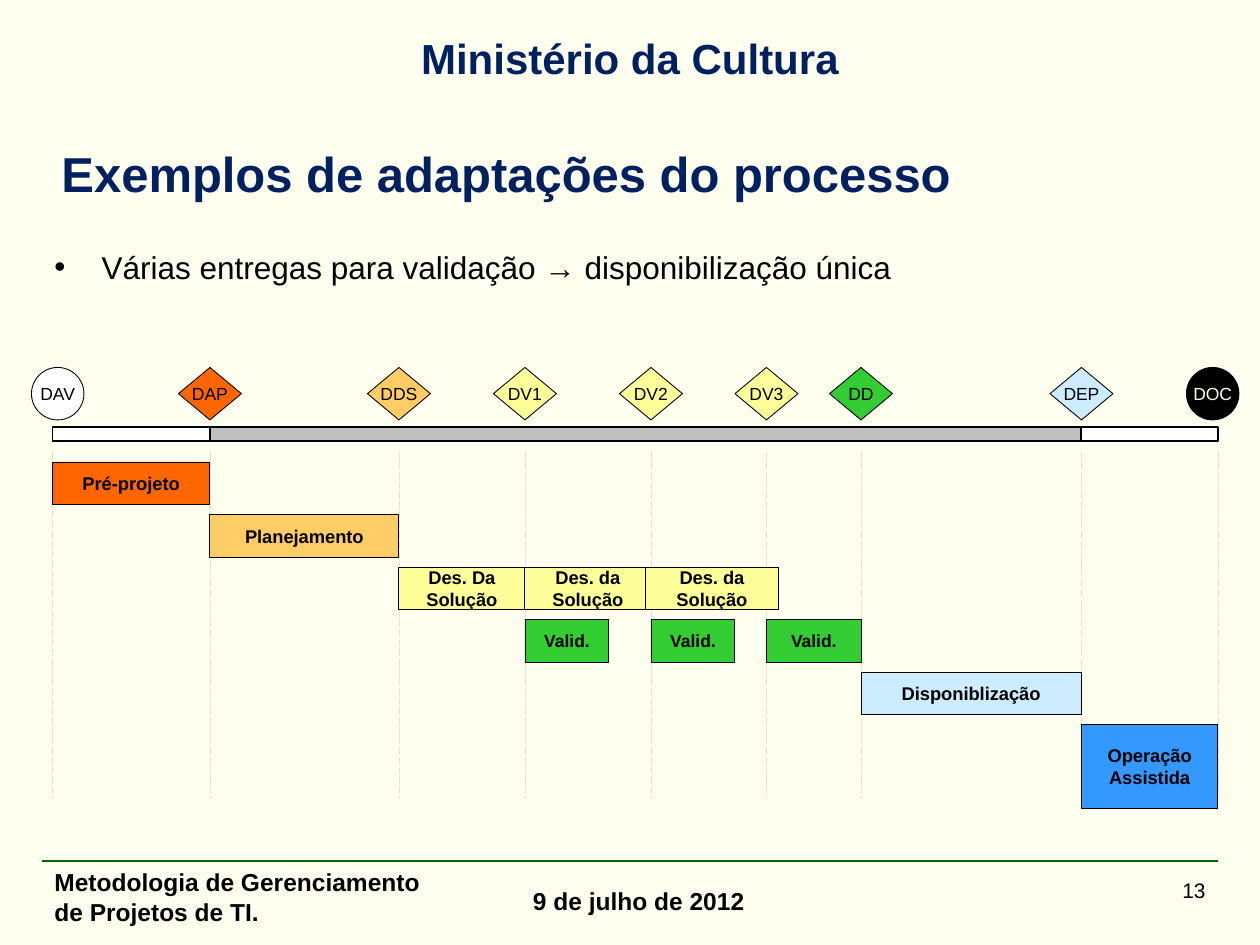
"""Build the slide on adapting the process, with its phase timeline."""
from lxml import etree
from pptx import Presentation
from pptx.dml.color import RGBColor
from pptx.enum.dml import MSO_LINE
from pptx.enum.shapes import MSO_CONNECTOR, MSO_SHAPE
from pptx.enum.text import MSO_ANCHOR, PP_ALIGN
from pptx.oxml.ns import qn
from pptx.util import Pt

RECT, GEM, DISC = MSO_SHAPE.RECTANGLE, MSO_SHAPE.DIAMOND, MSO_SHAPE.OVAL
LEFT, MID, RIGHT = PP_ALIGN.LEFT, PP_ALIGN.CENTER, PP_ALIGN.RIGHT
TOP, CENTER = MSO_ANCHOR.TOP, MSO_ANCHOR.MIDDLE
DASH, STRAIGHT = MSO_LINE.LONG_DASH, MSO_CONNECTOR.STRAIGHT

CREAM = RGBColor(0xFF, 0xFF, 0xEF)
NAVY = RGBColor(0x00, 0x20, 0x60)
BLACK = RGBColor(0x00, 0x00, 0x00)
WHITE = RGBColor(0xFF, 0xFF, 0xFF)
GRAY = RGBColor(0xC0, 0xC0, 0xC0)
SAND = RGBColor(0xE8, 0xDF, 0xD0)
PINE = RGBColor(0x00, 0x66, 0x00)
ORANGE = RGBColor(0xFF, 0x66, 0x00)
AMBER = RGBColor(0xFF, 0xCC, 0x66)
YELLOW = RGBColor(0xFF, 0xFF, 0x99)
GREEN = RGBColor(0x33, 0xCC, 0x33)
ICE = RGBColor(0xCC, 0xEC, 0xFF)
BLUE = RGBColor(0x33, 0x99, 0xFF)

FONT = "Arial"
# text, left, top, width, height, size, bold, colour, align, anchor, space before
TEXTS = [
    ("9 de julho de 2012", 297.5, 502.5, 158.5, 28, 14, True, BLACK, LEFT, TOP, 2.8),
    ("Ministério da Cultura", 33.5, 15, 653, 36, 24, True, NAVY, MID, TOP, 0),
    ("13", 546, 498, 150, 36, 12, False, BLACK, RIGHT, TOP, 0),
    ("Metodologia de Gerenciamento de Projetos de TI.",
     24, 492, 238, 36, 14, True, BLACK, LEFT, TOP, 0),
    ("Exemplos de adaptações do processo",
     28, 81, 672, 36, 28, True, NAVY, LEFT, CENTER, 0),
]
BODY = ("Várias entregas para validação → disponibilização única",
        24, 138, 672, 342, 18, False, BLACK, LEFT, TOP, 3.6)
STONES = [
    ("DAV", 30, WHITE), ("DAP", 120, ORANGE), ("DDS", 228, AMBER),
    ("DV1", 300, YELLOW), ("DV2", 372, YELLOW), ("DV3", 438, YELLOW),
    ("DD", 492, GREEN), ("DEP", 618, ICE), ("DOC", 696, BLACK),
]
DISCS = {"DAV": 33, "DOC": 693}
BARS = [(120, 618, GRAY), (30, 120, WHITE), (618, 696, WHITE)]
# text, row, start, end, colour, size
TASKS = [
    ("Pré-projeto", 0, 30, 120, ORANGE, 10.5),
    ("Planejamento", 1, 120, 228, AMBER, 10.5),
    ("Des. Da\nSolução", 2, 228, 300, YELLOW, 10.5),
    ("Des. da Solução", 2, 300, 372, YELLOW, 10.5),
    ("Des. da Solução", 2, 368.75, 445, YELLOW, 10.5),
    ("Valid.", 3, 300, 348, GREEN, 10),
    ("Valid.", 3, 372, 420, GREEN, 10),
    ("Valid.", 3, 438, 492, GREEN, 10),
    ("Disponiblização", 4, 492, 618, ICE, 10.5),
    ("Operação Assistida", 5, 618, 696, BLUE, 10.5),
]
ROW_TOP, ROW_STEP, ROW_HIGH, LAST_HIGH = 264, 30, 24.4, 48


def write(shape, text, size, bold, color, align, anchor, wrap=True, gap=0):
    frame = shape.text_frame
    frame.text = text
    frame.word_wrap = wrap
    frame.vertical_anchor = anchor
    for para in frame.paragraphs:
        para.alignment = align
        para.space_before = Pt(gap)
        for run in para.runs:
            run.font.name = FONT
            run.font.size = Pt(size)
            run.font.bold = bold
            run.font.color.rgb = color


def label(text, x, y, w, h, size, bold, color, align, anchor, gap):
    box = slide.shapes.add_textbox(Pt(x), Pt(y), Pt(w), Pt(h))
    write(box, text, size, bold, color, align, anchor, gap=gap)
    return box


def block(kind, x, y, w, h, fill, line):
    shape = slide.shapes.add_shape(kind, Pt(x), Pt(y), Pt(w), Pt(h))
    shape.shadow.inherit = False
    shape.fill.solid()
    shape.fill.fore_color.rgb = fill
    shape.line.color.rgb = BLACK
    shape.line.width = Pt(line)
    return shape


def rule(x, y, to_x, to_y, color, width, dash=None):
    line = slide.shapes.add_connector(STRAIGHT, Pt(x), Pt(y), Pt(to_x), Pt(to_y))
    line.line.color.rgb = color
    line.line.width = Pt(width)
    if dash:
        line.line.dash_style = dash
    etree.SubElement(line._element.spPr, qn("a:effectLst"))


deck = Presentation()
deck.slide_width, deck.slide_height = Pt(720), Pt(540)
slide = deck.slides.add_slide(deck.slide_layouts[6])
slide.background.fill.solid()
slide.background.fill.fore_color.rgb = CREAM

rule(24, 492, 696, 492, PINE, 0.75)
for item in TEXTS:
    label(*item)
body = label(*BODY)
props = body.text_frame.paragraphs[0]._p.get_or_add_pPr()
props.set("marL", str(Pt(27)))
props.set("indent", str(Pt(-27)))
etree.SubElement(props, qn("a:buFont")).set("typeface", FONT)
etree.SubElement(props, qn("a:buChar")).set("char", "•")

for name, x, fill in STONES:
    rule(x, 258.5, x, 456.5, SAND, 0.5, DASH)
for start, end, fill in BARS:
    block(RECT, start, 244, end - start, 8, fill, 1)
for text, row, start, end, fill, size in TASKS:
    high = LAST_HIGH if row == 5 else ROW_HIGH
    task = block(RECT, start, ROW_TOP + row * ROW_STEP, end - start, high, fill, 0.5)
    write(task, text, size, True, BLACK, MID, CENTER)
for name, x, fill in STONES:
    kind, wide = (DISC, 30) if name in DISCS else (GEM, 36)
    mark = block(kind, DISCS.get(name, x) - wide / 2, 210, wide, 30, fill, 0.5)
    ink = CREAM if fill == BLACK else BLACK
    write(mark, name, 10, False, ink, MID, CENTER, wrap=False)

deck.save("out.pptx")
